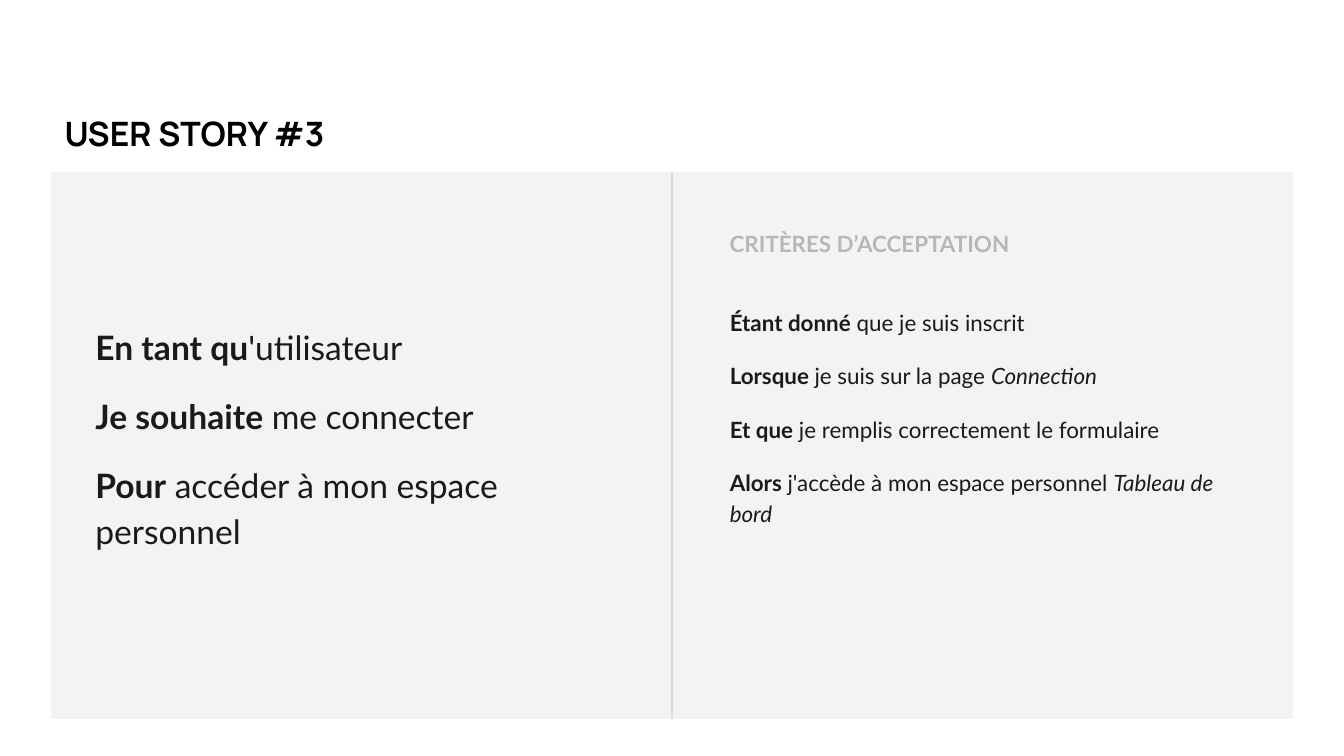
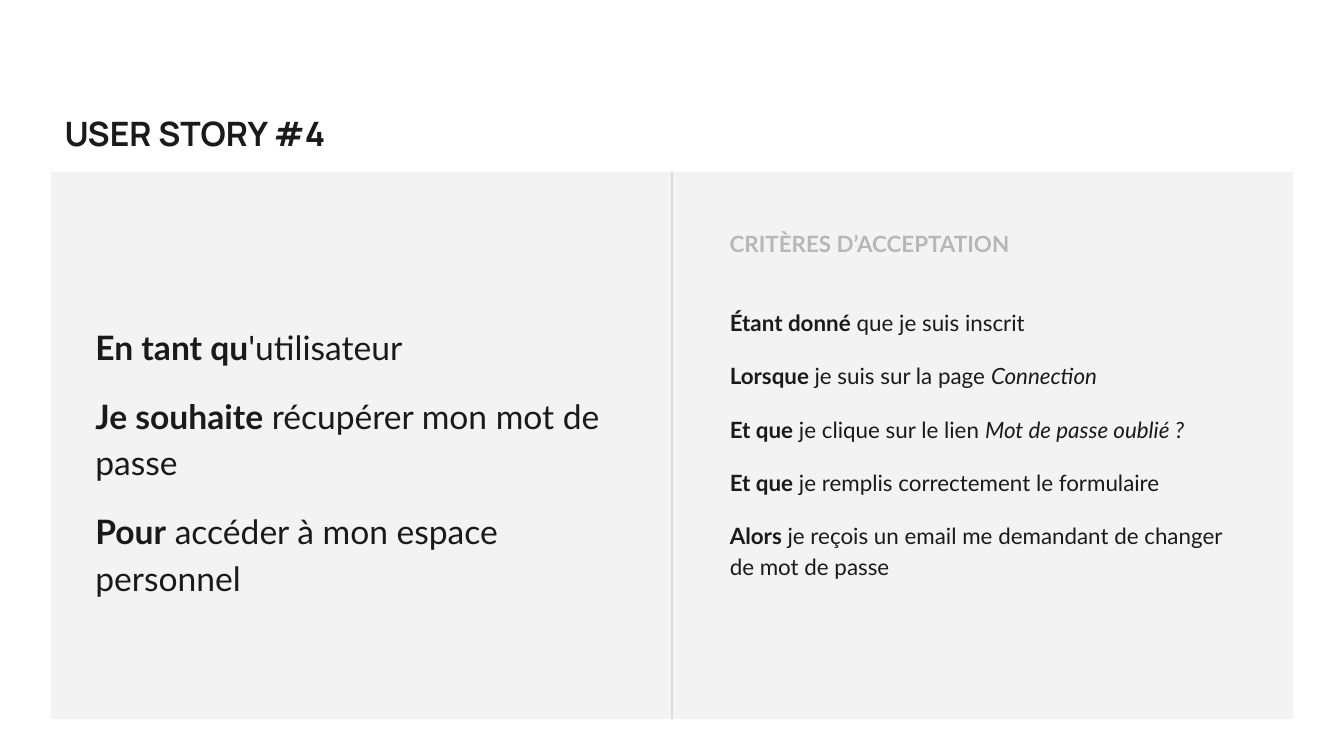
from lxml import etree
from pptx import Presentation
from pptx.dml.color import RGBColor
from pptx.enum.shapes import MSO_CONNECTOR, MSO_SHAPE
from pptx.enum.text import MSO_ANCHOR, MSO_AUTO_SIZE, PP_ALIGN
from pptx.oxml.ns import qn
from pptx.util import Inches, Pt

RECT = MSO_SHAPE.RECTANGLE
LINE = MSO_CONNECTOR.STRAIGHT
TOP = MSO_ANCHOR.TOP
LEFT = PP_ALIGN.LEFT
FIXED = MSO_AUTO_SIZE.NONE
GROW = MSO_AUTO_SIZE.SHAPE_TO_FIT_TEXT

COLORS = {
    "black": "000000",
    "ink": "1A1A1A",
    "panel": "F3F3F3",
    "rule": "D9D9D9",
    "muted": "B7B7B7",
}
FONTS = {"head": "Manrope", "body": "Lato"}
TWO_BODIES = 3
WIDTH = 10


def color(name):
    return RGBColor.from_string(COLORS[name])


def write(frame, lines, size, font="body", ink="ink", lead=1.0, gap=0, fit=FIXED):
    frame.word_wrap = True
    frame.auto_size = fit
    frame.vertical_anchor = TOP
    frame.margin_left = frame.margin_right = Inches(0.1)
    frame.margin_top = frame.margin_bottom = Inches(0.1)
    for row, parts in enumerate(lines):
        para = frame.add_paragraph() if row else frame.paragraphs[0]
        para.alignment = LEFT
        para.line_spacing = lead
        para.space_before = Pt(gap if row else 0)
        para.space_after = Pt(gap if row == len(lines) - 1 else 0)
        props = para._p.get_or_add_pPr()
        props.set("marL", "0")
        props.set("indent", "0")
        etree.SubElement(props, qn("a:buNone"))
        for part, text in enumerate(parts):
            run = para.add_run()
            run.text = text
            run.font.name = FONTS[font]
            run.font.size = Pt(size)
            run.font.color.rgb = color(ink)
            run.font.bold = part == 0
            run.font.italic = part == 2


class Deck:
    def __init__(self):
        self.file = Presentation()
        self.file.slide_width = Inches(WIDTH)
        self.file.slide_height = Inches(WIDTH * 9 / 16)
        self.slide = None

    def start(self):
        layout = self.file.slide_layouts[TWO_BODIES]
        self.slide = self.file.slides.add_slide(layout)

    def holder(self, index, box, lines, size, **style):
        shape = self.slide.placeholders[index]
        shape.left, shape.top, shape.width, shape.height = map(Inches, box)
        write(shape.text_frame, lines, size, **style)

    def label(self, box, text, size, **style):
        shape = self.slide.shapes.add_textbox(*map(Inches, box))
        write(shape.text_frame, [[text]], size, fit=GROW, **style)

    def panel(self, box):
        shape = self.slide.shapes.add_shape(RECT, *map(Inches, box))
        shape.shadow.inherit = False
        shape.fill.solid()
        shape.fill.fore_color.rgb = color("panel")
        shape.line.fill.background()
        self.slide.shapes._spTree.insert(2, shape._element)
        return shape

    def split(self, panel):
        line = self.slide.shapes.add_connector(LINE, 0, 0, 0, 0)
        line.begin_connect(panel, 0)
        line.end_connect(panel, 2)
        line.line.color.rgb = color("rule")
        line.line.width = Pt(0.75)
        etree.SubElement(line._element.spPr, qn("a:effectLst"))

    def story(self, title, ink, goals, tests):
        self.start()
        panel = self.panel((0.38, 1.28, 9.24, 4.07))
        self.holder(0, (0.38, 0.74, 2.72, 0.54), [[title]], 18, font="head", ink=ink)
        self.holder(1, (0.61, 2.29, 4.19, 2.05), goals, 18, lead=1.15, gap=12)
        self.holder(2, (5.33, 2.17, 3.98, 2.87), tests, 12, lead=1.15, gap=12)
        self.split(panel)
        self.label((5.33, 1.61, 3.28, 0.4), "CRITÈRES D’ACCEPTATION", 12, ink="muted")


USER = ("En tant qu", "'utilisateur")
SPACE = ("Pour", " accéder à mon espace personnel")
SIGNED = ("Étant donné", " que je suis inscrit")
LOGIN = ("Lorsque ", "je suis sur la page ", "Connection")
FORM = ("Et que", " je remplis correctement le formulaire")

STORIES = [
    (
        "USER STORY #3",
        "black",
        [USER, ("Je souhaite", " me connecter"), SPACE],
        [
            SIGNED,
            LOGIN,
            FORM,
            ("Alors", " j'accède à mon espace personnel ", "Tableau de bord"),
        ],
    ),
    (
        "USER STORY #4",
        "ink",
        [USER, ("Je souhaite", " récupérer mon mot de passe"), SPACE],
        [
            SIGNED,
            LOGIN,
            ("Et que", " je clique sur le lien ", "Mot de passe oublié ?"),
            FORM,
            ("Alors", " je reçois un email me demandant de changer de mot de passe"),
        ],
    ),
]


def main():
    deck = Deck()
    for story in STORIES:
        deck.story(*story)
    deck.file.save("out.pptx")


if __name__ == "__main__":
    main()
